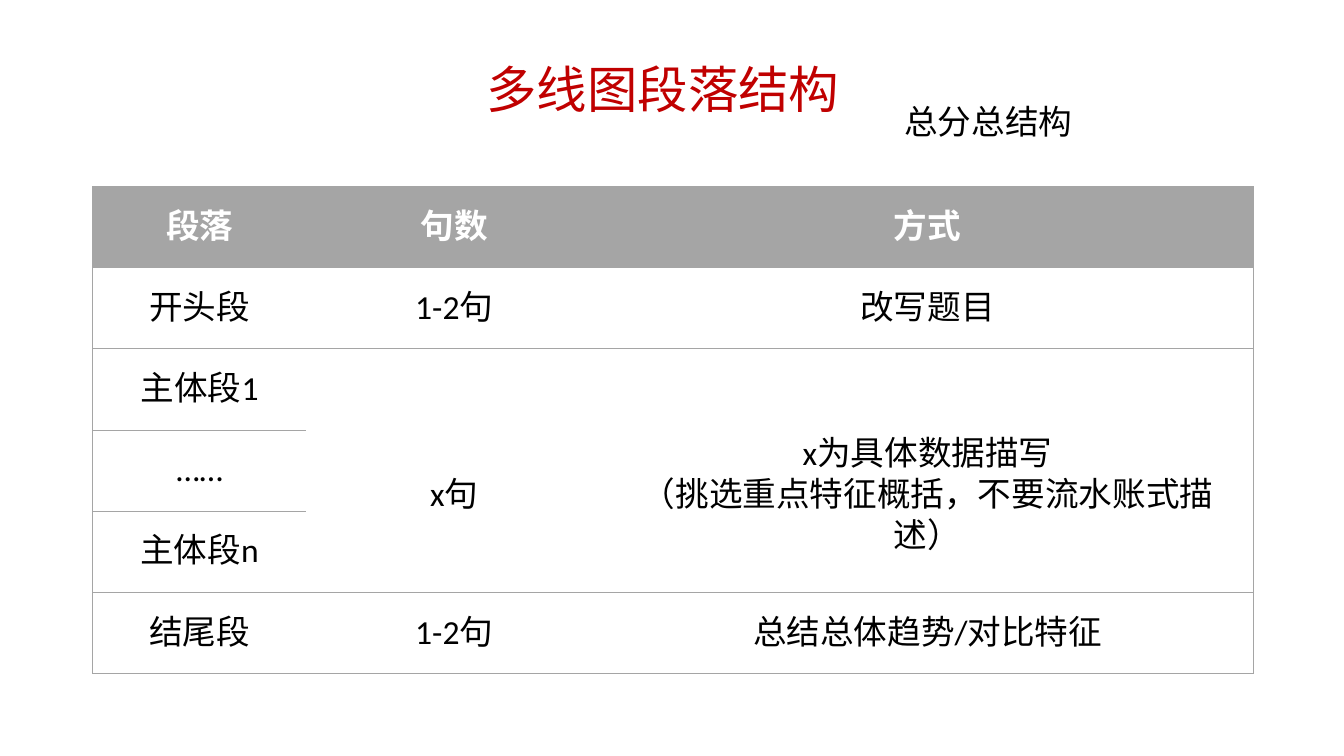
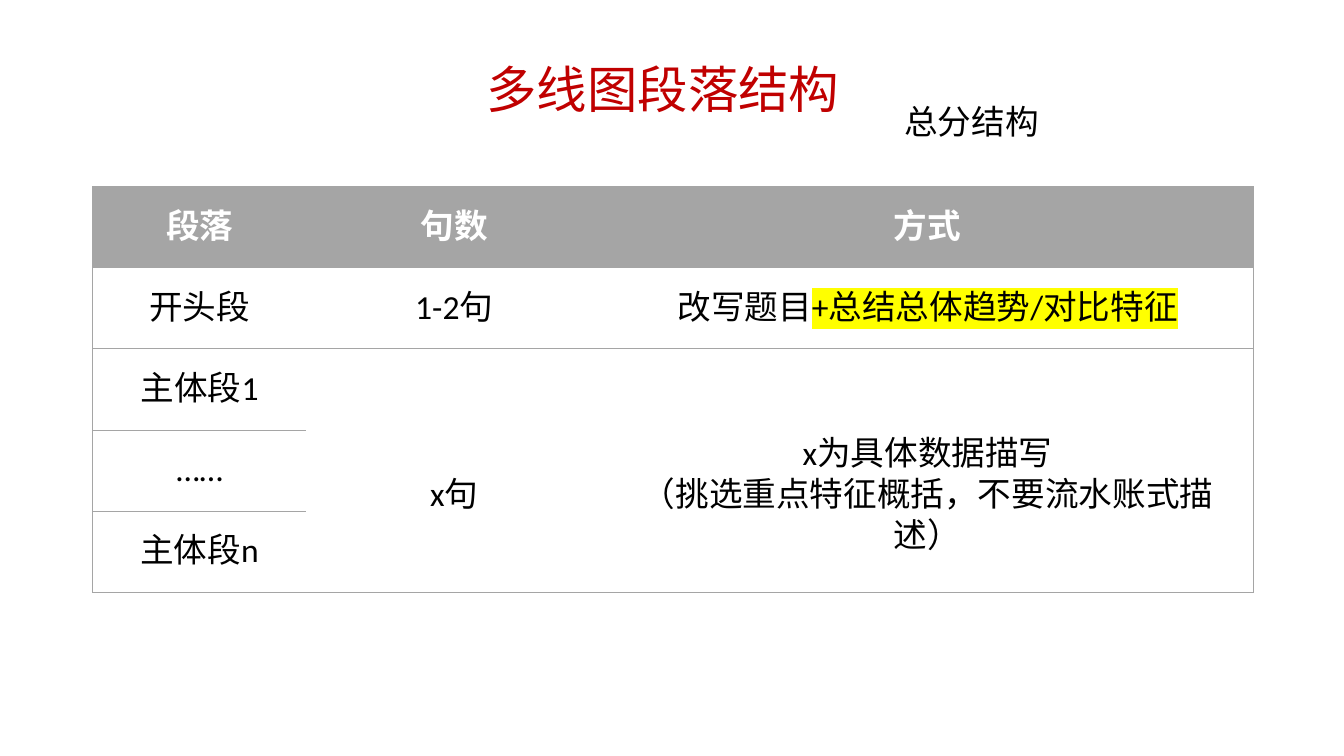
from dataclasses import dataclass

from lxml.etree import SubElement
from pptx import Presentation
from pptx.dml.color import RGBColor as RGB
from pptx.enum.text import MSO_ANCHOR as ANCHOR, PP_ALIGN as ALIGN
from pptx.oxml.ns import qn
from pptx.util import Inches, Pt


@dataclass(frozen=True)
class Theme:
    width: float = 13.33
    height: float = 7.5
    red: str = "C00000"
    gray: str = "A5A5A5"
    black: str = "000000"
    white: str = "FFFFFF"
    yellow: str = "FFFF00"
    title_font: str = "Roboto"
    table_font: str = "Calibri"
    note_font: str = "Noto Sans CJK SC"
    title_size: int = 36
    body_size: int = 24
    rule: float = 0.5


T = Theme()
COLS = (2.12, 2.93, 6.46)
ROW = 0.805
LINE = 0.49
PAD = 0.05
HEAD = ("段落", "句数", "方式")
BODY = (
    ("主体段1", "x句", "x为具体数据描写\n（挑选重点特征概括，不要流水账式描述）"),
    ("……", None, None),
    ("主体段n", None, None),
)
ENDING = "总结总体趋势/对比特征"


def add_run(p, text, font, size, color, bold=False, mark=None):
    r = p.add_run()
    r.text = text
    r.font.size, r.font.bold = Pt(size), bold
    r.font.color.rgb = RGB.from_string(color)
    r.font.name = font
    rPr = r.font._element
    SubElement(rPr, qn("a:ea"), typeface=font)
    if mark:
        hl = SubElement(rPr, qn("a:highlight"))
        SubElement(hl, qn("a:srgbClr"), val=mark)
        rPr.find(qn("a:solidFill")).addnext(hl)


def add_box(s, x, y, w, h, wrap=True):
    tf = s.shapes.add_textbox(Inches(x), Inches(y), Inches(w), Inches(h)).text_frame
    tf.word_wrap = wrap
    return tf


def add_title(s, text):
    tf = add_box(s, 0.82, 0.19, sum(COLS), 1.45)
    tf.vertical_anchor = ANCHOR.MIDDLE
    p = tf.paragraphs[0]
    p.alignment, p.line_spacing = ALIGN.CENTER, 0.9
    add_run(p, text, T.title_font, T.title_size, T.red)


def add_note(s, text):
    width = len(text) * T.body_size / 72 + 0.2
    tf = add_box(s, T.width * 0.6654, 0.95, width, 0.5, wrap=False)
    add_run(tf.paragraphs[0], text, T.note_font, T.body_size, T.black)


def set_borders(cell, sides):
    tcPr = cell._tc.get_or_add_tcPr()
    for side in "LRTB":
        ln = SubElement(tcPr, qn(f"a:ln{side}"), w=str(Pt(T.rule)))
        if side in sides:
            fill = SubElement(ln, qn("a:solidFill"))
            SubElement(fill, qn("a:srgbClr"), val=T.gray)
        else:
            SubElement(ln, qn("a:noFill"))


def fill_text(cell, content, header):
    cell.vertical_anchor = ANCHOR.MIDDLE
    runs = content if isinstance(content, tuple) else ((content, None),)
    tf = cell.text_frame
    p = tf.paragraphs[0]
    p.alignment = ALIGN.CENTER
    color = T.white if header else T.black
    for text, mark in runs:
        for i, line in enumerate(text.split("\n")):
            if i:
                p = tf.add_paragraph()
                p.alignment = ALIGN.CENTER
            add_run(p, line, T.table_font, T.body_size, color, header, mark)


def span_of(rows, r, c):
    end = r + 1
    while end < len(rows) and rows[end][c] is None:
        end += 1
    return end - r


def add_structure_table(s, rows):
    frame = s.shapes.add_table(len(rows), len(COLS), Inches(0.92), Inches(1.85),
                               Inches(sum(COLS)), Inches(ROW * len(rows)))
    table = frame.table
    table.first_row = table.horz_banding = False
    for col, width in zip(table.columns, COLS):
        col.width = Inches(width)
    for row in table.rows:
        row.height = Inches(ROW)
    for r, row in enumerate(rows):
        for c, content in enumerate(row):
            cell = table.cell(r, c)
            span = span_of(rows, r, c)
            sides = "L" if c == 0 else "R" if c == len(COLS) - 1 else ""
            sides += "" if content is None else "T"
            sides += "B" if content is not None or span == 1 else ""
            set_borders(cell, sides)
            if r == 0:
                cell.fill.solid()
                cell.fill.fore_color.rgb = RGB.from_string(T.gray)
            else:
                cell.fill.background()
            if content is None:
                continue
            fill_text(cell, content, r == 0)
            if span > 1:
                cell.margin_top = Inches(PAD + LINE)
                cell.merge(table.cell(r + span - 1, c))


def add_structure_slide(prs, note, opening, closing=()):
    s = prs.slides.add_slide(prs.slide_layouts[6])
    rows = (HEAD, ("开头段", "1-2句", opening), *BODY, *closing)
    add_structure_table(s, rows)
    add_title(s, "多线图段落结构")
    add_note(s, note)


def main():
    prs = Presentation()
    prs.slide_width, prs.slide_height = Inches(T.width), Inches(T.height)
    add_structure_slide(prs, "总分总结构", "改写题目", (("结尾段", "1-2句", ENDING),))
    add_structure_slide(prs, "总分结构", (("改写题目", None), ("+" + ENDING, T.yellow)))
    prs.save("out.pptx")


if __name__ == "__main__":
    main()
